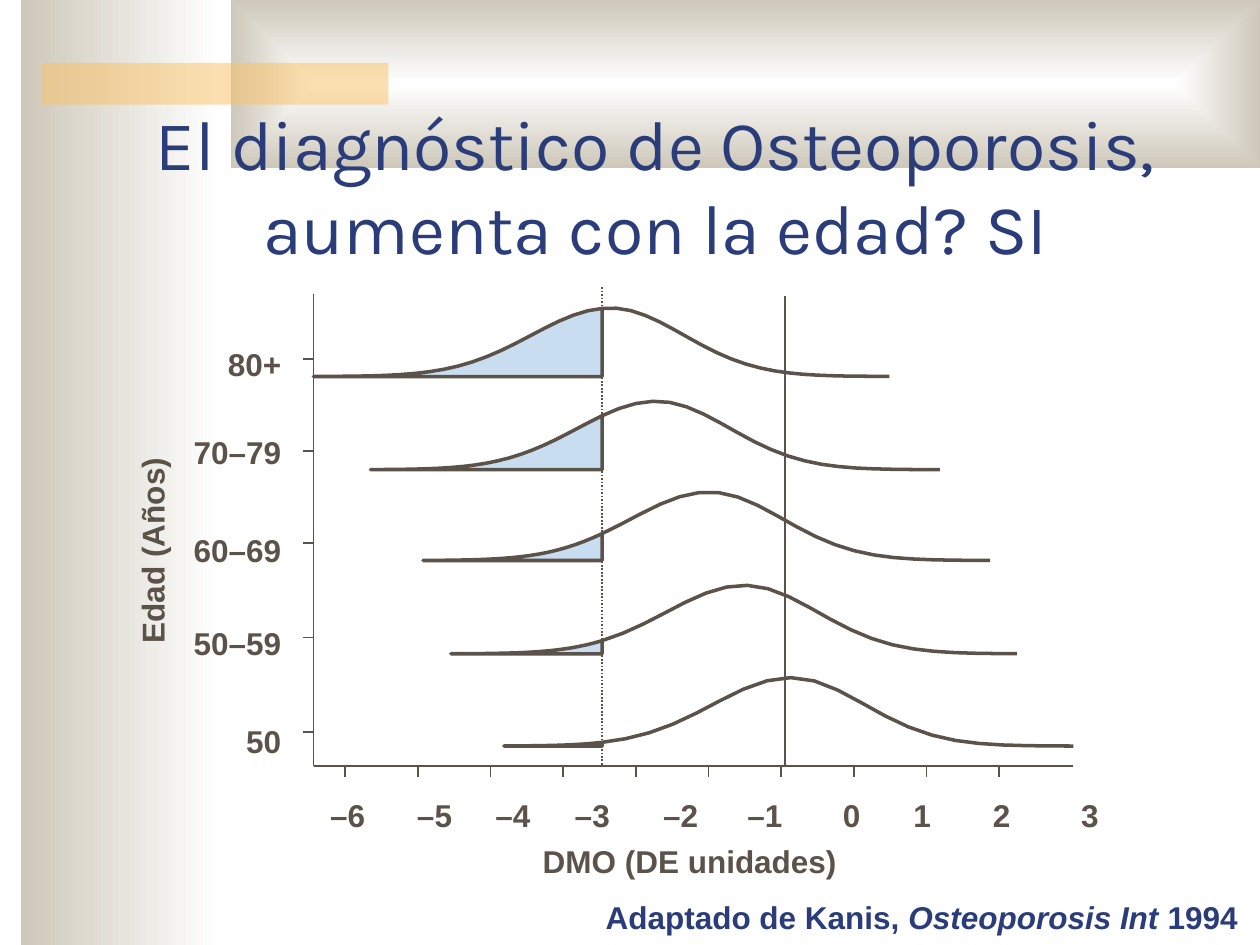
import math

import lxml.etree
import pptx
import pptx.dml.color
import pptx.enum.dml
import pptx.enum.shapes
import pptx.enum.text
import pptx.oxml
import pptx.oxml.ns
import pptx.util
from pptx.util import Cm


class Theme:
    navy = pptx.dml.color.RGBColor.from_string("2A3D7A")
    brown = pptx.dml.color.RGBColor.from_string("5B5249")
    beige = pptx.dml.color.RGBColor.from_string("CEC8BA")
    white = pptx.dml.color.RGBColor.from_string("FFFFFF")
    orange = pptx.dml.color.RGBColor.from_string("FAC164")
    pale_blue = pptx.dml.color.RGBColor.from_string("C9DDF1")
    title_font, label_font = "Karla", "Arial"
    title_size, label_size = pptx.util.Pt(40), pptx.util.Pt(18)
    axis_width, curve_width = pptx.util.Pt(1), pptx.util.Pt(2)


Align = pptx.enum.text.PP_ALIGN
qn = pptx.oxml.ns.qn

presentation = pptx.Presentation()
presentation.slide_width, presentation.slide_height = Cm(25.4), Cm(19.05)
slide = presentation.slides.add_slide(presentation.slide_layouts[6])


def add_line(x1, y1, x2, y2):
    connector = slide.shapes.add_connector(
        pptx.enum.shapes.MSO_CONNECTOR.STRAIGHT, Cm(x1), Cm(y1), Cm(x2), Cm(y2))
    connector.line.color.rgb = Theme.brown
    connector.line.width = Theme.axis_width
    lxml.etree.SubElement(connector._element.spPr, qn("a:effectLst"))
    return connector


def add_text(runs, left, top, width, height=1.02, align=Align.CENTER, wrap=True,
             color=Theme.brown, font=Theme.label_font, size=Theme.label_size, bold=True, tabs=()):
    box = slide.shapes.add_textbox(Cm(left), Cm(top), Cm(width), Cm(height))
    box.text_frame.word_wrap = wrap
    box.text_frame.auto_size = pptx.enum.text.MSO_AUTO_SIZE.SHAPE_TO_FIT_TEXT
    paragraph = box.text_frame.paragraphs[0]
    paragraph.alignment = align
    if tabs:
        tab_list = lxml.etree.SubElement(paragraph._p.get_or_add_pPr(), qn("a:tabLst"))
        for position in tabs:
            lxml.etree.SubElement(tab_list, qn("a:tab"), pos=str(Cm(position)), algn="ctr")
    for text in runs:
        run = paragraph.add_run()
        run.text = text
        run.font.name, run.font.size, run.font.bold = font, size, bold
        run.font.color.rgb = color
    return box


# Background bands: left gradient, top gradient, translucent accent
bands = []
for left, top, width, height in [(0.43, 0, 4.01, 19.05), (4.65, 0, 20.75, 3.38),
                                 (0.84, 1.27, 6.99, 0.84)]:
    band = slide.shapes.add_shape(pptx.enum.shapes.MSO_SHAPE.RECTANGLE,
                                  Cm(left), Cm(top), Cm(width), Cm(height))
    band.shadow.inherit = False
    band.line.fill.background()
    bands.append(band)
side_band, top_band, accent = bands

for band in (side_band, top_band):
    band.fill.gradient()
    for stop, position, color in zip(band.fill.gradient_stops, (0, 1), (Theme.white, Theme.beige)):
        stop.position, stop.color.rgb = position, color
side_band.fill.gradient_angle = 180

linear = top_band._element.spPr.find(".//" + qn("a:lin"))
rectangular = pptx.oxml.parse_xml(
    f'<a:path {pptx.oxml.ns.nsdecls("a")} path="rect">'
    '<a:fillToRect l="50000" t="50000" r="50000" b="50000"/></a:path>')
linear.getparent().replace(linear, rectangular)

accent.fill.solid()
accent.fill.fore_color.rgb = Theme.orange
accent_color = accent._element.spPr.find(".//" + qn("a:srgbClr"))
lxml.etree.SubElement(accent_color, qn("a:alpha"), val="50000")

# Title
add_text(["El diagnóstico de Osteoporosis, aumenta con la edad? SI"], 1.73, 1.9, 22.96, 3.63,
         color=Theme.navy, font=Theme.title_font, size=Theme.title_size, bold=False)

# Age groups: label, label top, label width, tick, curve baseline, peak, start, end
age_groups = [
    ("80+", 6.83, 1.6, 7.24, 7.59, 12.3, 6.32, 17.93),
    ("70–79", 8.61, 2.29, 9.09, 9.47, 13.23, 7.47, 18.95),
    ("60–69", 10.59, 2.29, 10.95, 11.3, 14.3, 8.53, 19.96),
    ("50–59", 12.45, 2.29, 12.85, 13.18, 15.01, 9.09, 20.5),
    ("50", 14.43, 1.22, 14.76, 15.04, 15.95, 10.16, 21.64),
]

# Axes, diagnostic threshold and ticks
axis_x, axis_y, threshold_x = 6.32, 15.44, 12.14
add_line(axis_x, 5.92, axis_x, axis_y)
add_line(axis_x, axis_y, 21.64, axis_y)
threshold = add_line(threshold_x, 5.79, threshold_x, axis_y)
threshold.line.dash_style = pptx.enum.dml.MSO_LINE.ROUND_DOT
for _, _, _, tick_y, *_ in age_groups:
    add_line(axis_x, tick_y, 6.1, tick_y)
first_tick, last_tick, tick_count = 6.96, 20.14, 10
for index in range(tick_count):
    x = first_tick + (last_tick - first_tick) * index / (tick_count - 1)
    add_line(x, axis_y, x, 15.67)

# Bell curves, shaded below the threshold
bell_height, left_spread, right_spread, steps = 1.38, 1.58, 1.48, 20
for *_, baseline, peak, start, end in age_groups:
    group = slide.shapes.add_group_shape()
    for first_x, last_x, shaded in ((start, threshold_x, True), (threshold_x, end, False)):
        points = []
        for step in range(steps + 1):
            x = first_x + (last_x - first_x) * step / steps
            spread = left_spread if x < peak else right_spread
            y = baseline - bell_height * math.exp(-((x - peak) / spread) ** 2 / 2)
            points.append((Cm(x), Cm(y)))
        if shaded:
            points += [(Cm(threshold_x), Cm(baseline)), (Cm(start), Cm(baseline))]
        builder = group.shapes.build_freeform(*points[0])
        builder.add_line_segments(points[1:], close=shaded)
        curve = builder.convert_to_shape()
        curve.shadow.inherit = False
        curve.line.color.rgb = Theme.brown
        curve.line.width = Theme.curve_width
        if shaded:
            curve.fill.solid()
            curve.fill.fore_color.rgb = Theme.pale_blue
        else:
            curve.fill.background()

# Age labels, flush right beside the axis
label_right = 5.92
for label, top, width, *_ in age_groups:
    add_text([label], label_right - width, top, width, align=Align.RIGHT, wrap=False)

# Reference line, scale labels and axis titles
add_line(15.82, 5.97, 15.82, 15.47)
add_text(["\t–6\t–5\t–4\t–3\t–2\t–1\t0\t1\t2\t3"], 5.49, 15.93, 18.24, align=Align.LEFT,
         tabs=(1.27, 3.02, 4.6, 6.2, 7.98, 9.68, 11.43, 12.85, 14.45, 16.23))
add_text(["DMO (DE unidades)"], 6.5, 16.84, 14.81)
age_title = add_text(["Edad (Años)"], -0.51, 10.59, 7.16)
age_title.rotation = 270

# Citation
citation = add_text(["Adaptado de Kanis, ", "Osteoporosis Int ", "1994"], 11.94, 17.98, 13.26,
                    align=Align.RIGHT, wrap=False, color=Theme.navy)
paragraph = citation.text_frame.paragraphs[0]
paragraph.space_after = pptx.util.Pt(2.2)
paragraph.runs[1].font.italic = True

presentation.save("out.pptx")
